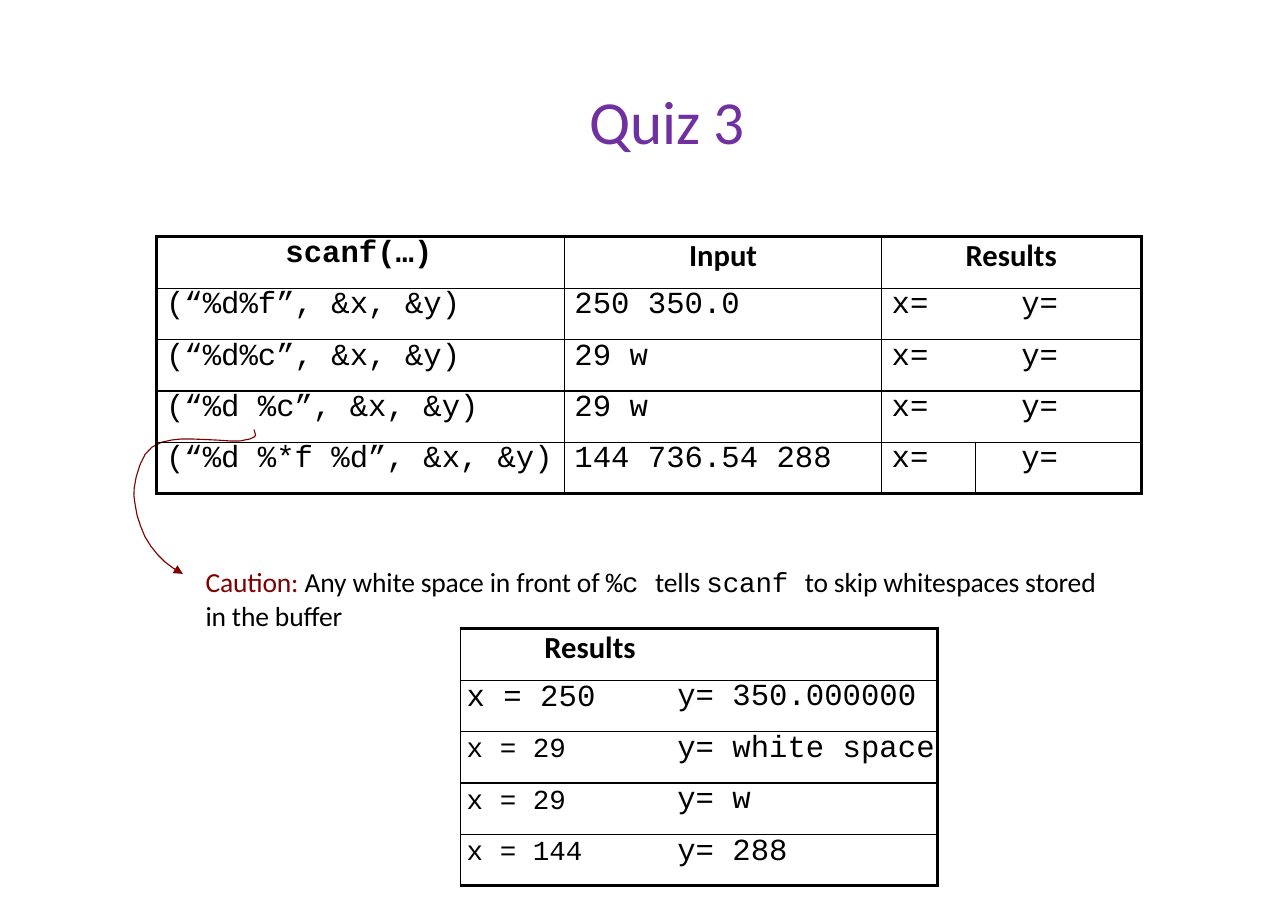
from lxml import etree
from pptx import Presentation
from pptx import util as u
from pptx.dml.color import RGBColor
from pptx.enum import text
from pptx.oxml import ns

PURPLE = RGBColor(0x70, 0x30, 0xA0)
MAROON = RGBColor(0x80, 0x00, 0x00)
BLACK = RGBColor(0, 0, 0)
THIN, THICK = 1, 2.25
ROW_HEIGHT = 33.6

BODY = dict(name="Calibri", size=u.Pt(18), bold=False)
CODE = dict(BODY, name="Courier New")
CODE_BIG = dict(CODE, size=u.Pt(20))
HEAD = dict(BODY, size=u.Pt(20), bold=True)
HEAD_CODE = dict(HEAD, name="Courier New")
TITLE = dict(BODY, size=u.Pt(40))

CURVE = [
    (166, 280.8), (167, 284.4), (166.3, 285.5), (163.4, 286.9), (157, 288.2),
    (151.2, 288.3), (142.6, 287.7), (134.6, 287.3), (126.7, 287), (118.8, 286.9),
    (112.3, 287.6), (105.8, 289), (99.4, 292.2), (94.8, 297), (91.4, 304),
    (89, 311.8), (87.7, 319), (87.5, 324), (88.3, 329.8), (89.6, 337),
    (92, 344.2), (94.7, 350.8), (98.6, 357), (103, 362.5), (108, 367.5),
    (113, 371.2), (119.5, 375.1),
]


class Deck:
    def __init__(self, width, height):
        self.prs = Presentation()
        self.prs.slide_width, self.prs.slide_height = u.Pt(width), u.Pt(height)
        self.s = self.prs.slides.add_slide(self.prs.slide_layouts[5])

    def run(self, p, words, fmt, color=BLACK, spacing=0):
        r = p.add_run()
        r.text = words
        for key, value in fmt.items():
            setattr(r.font, key, value)
        r.font.color.rgb = color
        if spacing:
            r.font._element.set("spc", str(spacing))

    def indent(self, p, points):
        p.alignment = text.PP_ALIGN.LEFT
        pPr = p._p.get_or_add_pPr()
        pPr.set("marL", str(u.Pt(points)))
        pPr.set("indent", "0")

    def frame(self, tf):
        frame_format = dict(
            margin_left=0, margin_right=0, margin_top=0, margin_bottom=0,
            word_wrap=True, vertical_anchor=text.MSO_ANCHOR.TOP,
            auto_size=text.MSO_AUTO_SIZE.SHAPE_TO_FIT_TEXT)
        for key, value in frame_format.items():
            setattr(tf, key, value)
        return tf.paragraphs[0]

    def title(self, words, x, y, w, h, indent):
        sp = self.s.shapes.title
        for key, value in dict(left=x, top=y, width=w, height=h).items():
            setattr(sp, key, u.Pt(value))
        p = self.frame(sp.text_frame)
        self.indent(p, indent)
        self.run(p, words, TITLE, PURPLE, -10)

    def note(self, runs, x, y, w, h):
        sp = self.s.shapes.add_textbox(*map(u.Pt, (x, y, w, h)))
        p = self.frame(sp.text_frame)
        p.line_spacing = 1.03
        for words, fmt, color in runs:
            self.run(p, words, fmt, color, -10)

    def arrow(self, points, color):
        start, *rest = [(u.Pt(x), u.Pt(y)) for x, y in points]
        builder = self.s.shapes.build_freeform(*start, scale=1.0)
        builder.add_line_segments(rest, close=False)
        sp = builder.convert_to_shape()
        sp.shadow.inherit = False
        sp.fill.background()
        sp.line.color.rgb = color
        sp.line.width = u.Pt(0.75)
        etree.SubElement(sp.line._get_or_add_ln(), ns.qn("a:tailEnd"), type="triangle")

    def border(self, cell, widths):
        tcPr = cell._tc.get_or_add_tcPr()
        for side, width in zip("LRTB", widths):
            ln = etree.SubElement(tcPr, ns.qn("a:ln" + side), w=str(u.Pt(width)))
            if width:
                fill = etree.SubElement(ln, ns.qn("a:solidFill"))
                etree.SubElement(fill, ns.qn("a:srgbClr"), val=str(BLACK))
            else:
                etree.SubElement(ln, ns.qn("a:noFill"))
        cell.fill.background()

    def table(self, x, y, widths, rows, edges):
        box = map(u.Pt, (x, y, sum(widths), ROW_HEIGHT * len(rows)))
        tbl = self.s.shapes.add_table(len(rows), len(widths), *box).table
        tbl.first_row = tbl.horz_banding = False
        for col, width in zip(tbl.columns, widths):
            col.width = u.Pt(width)
        for i, row in enumerate(rows):
            tbl.rows[i].height = u.Pt(ROW_HEIGHT)
            top = THIN if i else THICK
            bottom = THIN if i < len(rows) - 1 else THICK
            for j, content in enumerate(row):
                cell = tbl.cell(i, j)
                span = 2 if None in row[j + 1:j + 2] else 1
                if span == 2:
                    cell.merge(tbl.cell(i, j + 1))
                self.border(cell, (edges[i][j], edges[i][j + span], top, bottom))
                if content:
                    self.fill_cell(cell, *content)

    def fill_cell(self, cell, words, indent, fmt=CODE_BIG, top=0):
        cell.margin_left = cell.margin_right = cell.margin_bottom = 0
        cell.margin_top = u.Pt(top)
        p = cell.text_frame.paragraphs[0]
        if indent is None:
            p.alignment = text.PP_ALIGN.CENTER
        else:
            self.indent(p, indent)
        self.run(p, words, fmt)


def main():
    d = Deck(841.68, 595.44)
    d.title("Quiz 3", 106.6, 54.7, 629.3, 48.2, 278.6)

    d.note([
        ("Caution: ", BODY, MAROON),
        ("Any white space in front of ", BODY, BLACK),
        ("%c ", CODE, BLACK),
        ("tells ", BODY, BLACK),
        ("scanf ", CODE, BLACK),
        ("to skip whitespaces stored in the buffer", BODY, BLACK),
    ], 134.3, 368.6, 596.9, 42.5)
    d.arrow(CURVE, MAROON)

    calls = [
        ("(“%d%f”, &x, &y)", None, "250 350.0"),
        ("(“%d%c”, &x, &y)", None, "29 w"),
        ("(“%d %c”, &x, &y)", None, "29 w"),
        ("(“%d %*f %d”, &x,", "&y)", "144 736.54 288"),
    ]
    indents = (6, 6, 6.5, 6.5, 30)
    quiz = [[("scanf(…)", 84, HEAD_CODE), None, ("Input", None, HEAD),
             ("Results", 54.7, HEAD), None]]
    for call in calls:
        quiz.append([words and (words, indent)
                     for words, indent in zip(call + ("x=", "y="), indents)])
    open_edges = (THICK, 0, THIN, THIN, 0, THICK)
    last_edges = (THICK, 0, THIN, THIN, THIN, THICK)
    d.table(102.5, 154.8, (216.7, 49.7, 207.4, 61.2, 108.7), quiz,
            [open_edges] * 4 + [last_edges])

    answers = [[("Results", 54.7, HEAD), None],
               [("x = 250", 4, CODE_BIG, 0.5), ("y= 350.000000", 30)]]
    for x, y in (("29", "white space"), ("29", "w"), ("144", "288")):
        answers.append([("x = " + x, 4, CODE, 2), ("y= " + y, 30)])
    d.table(301, 411.1, (111.6, 200.2), answers, [(THIN, 0, THICK)] * 5)

    d.prs.save("out.pptx")


if __name__ == "__main__":
    main()
